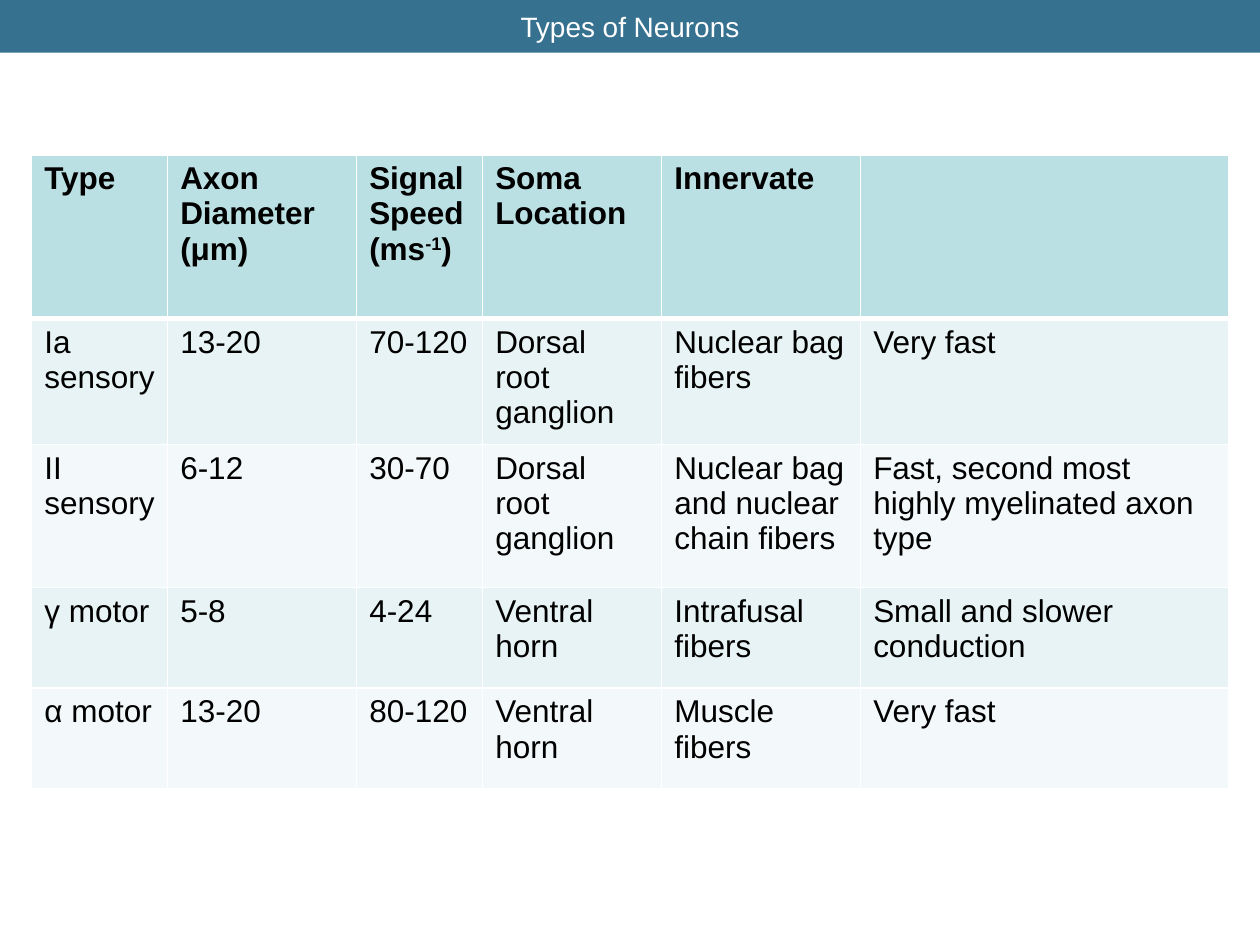
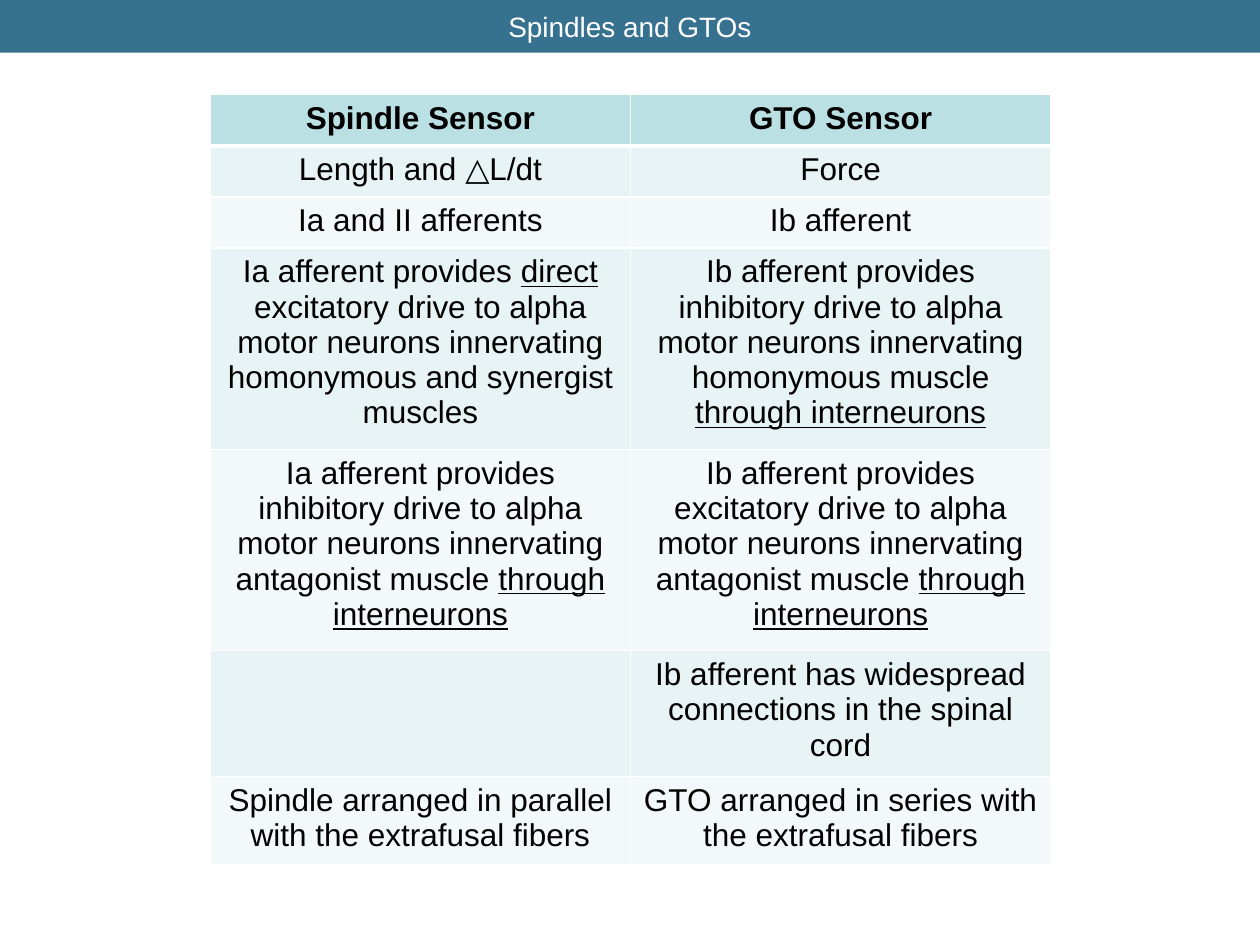
from dataclasses import dataclass

from lxml.etree import SubElement
from pptx import Presentation
from pptx.dml.color import RGBColor
from pptx.enum.text import MSO_ANCHOR as Anchor, MSO_AUTO_SIZE as AutoSize, PP_ALIGN as Align
from pptx.oxml.ns import qn
from pptx.slide import Slide
from pptx.text.text import TextFrame
from pptx.util import Cm, Pt

COLORS = {
    "band": "36718F",
    "header": "BBE0E3",
    "odd_row": "E7F3F4",
    "even_row": "F3F9FA",
    "white": "FFFFFF",
    "text": "000000",
}
FONT = "Arial"
SLIDE_WIDTH, SLIDE_HEIGHT = 25.4, 19.05
BAND_HEIGHT = 1.06
THIN, THICK = 1, 3
TITLE_ONLY_LAYOUT = 5
UNDERLINE, RAISED = "_", "^"


@dataclass(frozen=True)
class TableSlide:
    title: str
    left: float
    top: float
    columns: list[float]
    row_heights: list[float]
    rows: list[list[str]]
    alignment: Align = Align.LEFT


NEURONS = TableSlide(
    title="Types of Neurons",
    left=0.64,
    top=3.12,
    columns=[2.74, 3.81, 2.54, 3.61, 4.01, 7.42],
    row_heights=[3.3, 2.54, 2.88, 2.03, 2.03],
    rows=[
        ["Type", "Axon Diameter\n(μm)", "Signal Speed\n(ms^-1^)", "Soma Location", "Innervate", ""],
        ["Ia sensory", "13-20", "70-120", "Dorsal root ganglion", "Nuclear bag fibers", "Very fast"],
        ["II sensory", "6-12", "30-70", "Dorsal root ganglion",
         "Nuclear bag and nuclear chain fibers", "Fast, second most highly myelinated axon type"],
        ["γ motor", "5-8", "4-24", "Ventral horn", "Intrafusal fibers", "Small and slower conduction"],
        ["α motor", "13-20", "80-120", "Ventral horn", "Muscle fibers", "Very fast"],
    ],
)

SENSORS = TableSlide(
    title="Spindles and GTOs",
    left=4.24,
    top=1.91,
    columns=[8.47] * 2,
    row_heights=[1.03] * 3 + [4.06] * 2 + [2.54, 1.78],
    alignment=Align.CENTER,
    rows=[
        ["Spindle Sensor", "GTO Sensor"],
        ["Length and △L/dt", "Force"],
        ["Ia and II afferents", "Ib afferent"],
        ["Ia afferent provides _direct_ excitatory drive to alpha motor neurons "
         "innervating homonymous and synergist muscles",
         "Ib afferent provides inhibitory drive to alpha motor neurons "
         "innervating homonymous muscle _through interneurons_"],
        ["Ia afferent provides inhibitory drive to alpha motor neurons "
         "innervating antagonist muscle _through interneurons_",
         "Ib afferent provides excitatory drive to alpha motor neurons "
         "innervating antagonist muscle _through interneurons_"],
        ["", "Ib afferent has widespread connections in the spinal cord"],
        ["Spindle arranged in parallel with the extrafusal fibers",
         "GTO arranged in series with the extrafusal fibers"],
    ],
)


def rgb(name: str) -> RGBColor:
    return RGBColor.from_string(COLORS[name])


def split_runs(line: str) -> list[tuple[str, bool, bool]]:
    return [
        (text, outer % 2 == 1, inner % 2 == 1)
        for outer, part in enumerate(line.split(UNDERLINE))
        for inner, text in enumerate(part.split(RAISED))
        if text
    ]


def write_text(frame: TextFrame, text: str, *, size: float, color: str = "text",
               bold: bool = False, alignment: Align = Align.LEFT) -> None:
    for index, line in enumerate(text.split("\n")):
        paragraph = frame.add_paragraph() if index else frame.paragraphs[0]
        paragraph.alignment = alignment
        for content, underlined, raised in split_runs(line):
            run = paragraph.add_run()
            run.text = content
            font = run.font
            font.name, font.size, font.bold = FONT, Pt(size), bold
            font.color.rgb = rgb(color)
            if underlined:
                font.underline = True
            if raised:
                run._r.get_or_add_rPr().set("baseline", "30000")


def add_borders(cell, *, top: int, bottom: int) -> None:
    properties = cell._tc.get_or_add_tcPr()
    for side, width in {"L": THIN, "R": THIN, "T": top, "B": bottom}.items():
        line = SubElement(properties, qn(f"a:ln{side}"), w=str(Pt(width)))
        fill = SubElement(line, qn("a:solidFill"))
        SubElement(fill, qn("a:srgbClr"), val=COLORS["white"])


def add_title(slide: Slide, text: str) -> None:
    title = slide.shapes.title
    title.left, title.top = Cm(0), Cm(0)
    title.width, title.height = Cm(SLIDE_WIDTH), Cm(BAND_HEIGHT)
    title.fill.solid()
    title.fill.fore_color.rgb = rgb("band")
    frame = title.text_frame
    frame.auto_size = AutoSize.NONE
    frame.vertical_anchor = Anchor.MIDDLE
    write_text(frame, text, size=16, color="white", alignment=Align.CENTER)


def add_data_table(slide: Slide, content: TableSlide) -> None:
    table = slide.shapes.add_table(
        len(content.rows), len(content.columns), Cm(content.left), Cm(content.top),
        Cm(sum(content.columns)), Cm(sum(content.row_heights)),
    ).table
    for column, width in zip(table.columns, content.columns):
        column.width = Cm(width)
    for index, (row, height, texts) in enumerate(zip(table.rows, content.row_heights, content.rows)):
        row.height = Cm(height)
        is_header = index == 0
        fill = "header" if is_header else "odd_row" if index % 2 else "even_row"
        for cell, text in zip(row.cells, texts):
            add_borders(cell, top=THICK if index == 1 else THIN, bottom=THICK if is_header else THIN)
            cell.fill.solid()
            cell.fill.fore_color.rgb = rgb(fill)
            write_text(cell.text_frame, text, size=18, bold=is_header, alignment=content.alignment)


def main() -> None:
    presentation = Presentation()
    presentation.slide_width, presentation.slide_height = Cm(SLIDE_WIDTH), Cm(SLIDE_HEIGHT)
    for content in (NEURONS, SENSORS):
        slide = presentation.slides.add_slide(presentation.slide_layouts[TITLE_ONLY_LAYOUT])
        add_title(slide, content.title)
        add_data_table(slide, content)
    presentation.save("out.pptx")


if __name__ == "__main__":
    main()
